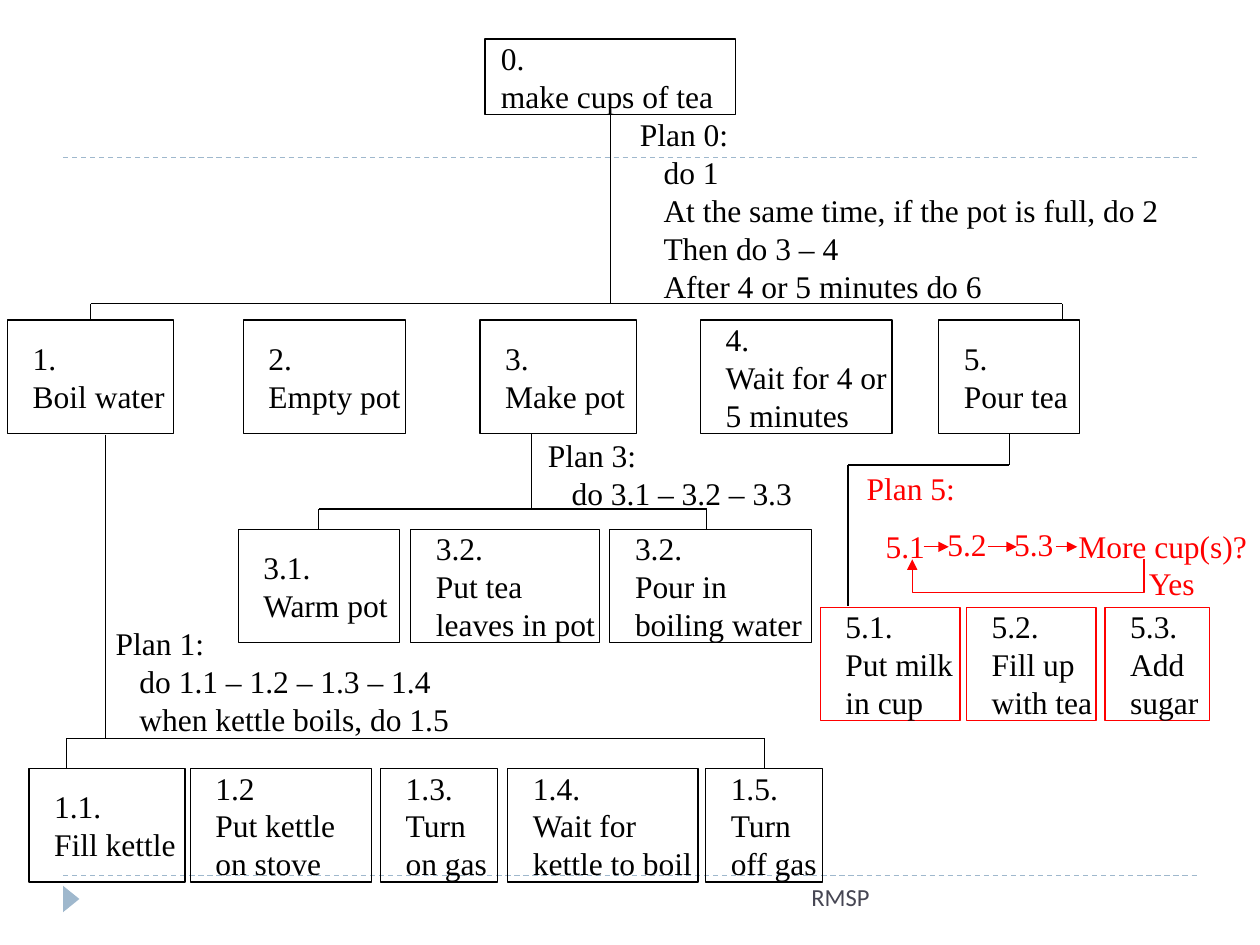
from collections import namedtuple

from lxml import etree
from pptx import Presentation
from pptx.dml.color import RGBColor
from pptx.enum.dml import MSO_LINE
from pptx.enum.shapes import MSO_CONNECTOR, MSO_SHAPE
from pptx.enum.text import MSO_ANCHOR, PP_ALIGN
from pptx.oxml.ns import qn
from pptx.util import Inches, Pt

BLACK, RED, BLUE, GREY = "000000", "FF0000", "9FB8CD", "464653"
COLUMNS, ROWS = 100, 75  # page grid

deck = Presentation()
deck.slide_width, deck.slide_height = Inches(10), Inches(7.5)
Box = namedtuple("Box", "left top width height")


def across(columns):
    return round(deck.slide_width * columns / COLUMNS)


def down(rows):
    return round(deck.slide_height * rows / ROWS)


def place(box):
    return across(box.left), down(box.top), across(box.width), down(box.height)


def colour(hex_text):
    return RGBColor.from_string(hex_text)


def style_line(line, tint, arrow_end=None):
    line.color.rgb = colour(tint)
    line.width = Pt(0.75)
    if arrow_end:
        outline = line._get_or_add_ln()
        etree.SubElement(outline, qn(f"a:{arrow_end}"), type="triangle")


def add_line(page, start, end, tint=BLACK, arrow_end=None, parent=None, child=None):
    line = page.shapes.add_connector(
        MSO_CONNECTOR.STRAIGHT, across(start[0]), down(start[1]), across(end[0]), down(end[1]))
    if parent is not None:
        line.begin_connect(parent, 2)
    if child is not None:
        line.end_connect(child, 0)
    style_line(line.line, tint, arrow_end)
    etree.SubElement(line._element.spPr, qn("a:effectLst"))
    return line


def write(para, text, tint=BLACK, size=18, font="Times New Roman", indent=0):
    if indent:
        properties = para._p.get_or_add_pPr()
        properties.set("marL", str(across(indent)))
        properties.set("indent", "0")
    span = para.add_run()
    span.text = text
    span.font.size, span.font.name = Pt(size), font
    span.font.color.rgb = colour(tint)


def add_text(page, box, lines, tint=BLACK, wrap=True, **style):
    """A text box: a heading line, then indented lines."""
    frame = page.shapes.add_textbox(*place(box)).text_frame
    frame.word_wrap = wrap
    for index, text in enumerate(lines):
        para = frame.add_paragraph() if index else frame.paragraphs[0]
        write(para, text, tint, indent=1.88 if index else 0, **style)
        if len(lines) > 1:
            para.line_spacing = 0.8
        if index:
            para.space_before = Pt(4.5)
    return frame


def add_task(page, box, number, label, tint=BLACK, inset=2):
    task = page.shapes.add_shape(MSO_SHAPE.RECTANGLE, *place(box))
    task.shadow.inherit = False
    task.fill.background()
    style_line(task.line, tint)
    frame = task.text_frame
    frame.word_wrap = True
    frame.vertical_anchor = MSO_ANCHOR.MIDDLE
    frame.margin_left, frame.margin_right = across(inset), 0
    frame.margin_top = frame.margin_bottom = down(0.5)
    for para, text in zip((frame.paragraphs[0], frame.add_paragraph()), (number, label)):
        para.alignment = PP_ALIGN.LEFT
        write(para, text)
    return task


def add_row(page, box, tasks, tint=BLACK):
    """A level of tasks, each given as offset, width, number and label."""
    return [add_task(page, Box(box.left + offset, box.top, width, box.height), number, label, tint)
            for offset, width, number, label in tasks]


def add_branch(page, box, trunk, drops, parent=None):
    """A rail along the box top, a trunk from above and drops to the box bottom."""
    offset, height = trunk
    middle = box.left + offset
    add_line(page, (middle, box.top - height), (middle, box.top), parent=parent)
    add_line(page, (box.left, box.top), (box.left + box.width, box.top))
    for drop, child in drops:
        x = box.left + drop
        add_line(page, (x, box.top), (x, box.top + box.height), child=child)


def add_serving_loop(page, box):
    """The steps of plan 5 with arrows between them and the way back."""
    left, top = box.left, box.top
    points = [(left + x, top + y) for x, y in ((3.1, 3.2), (3.1, 5.8), (21.5, 5.8), (21.5, 3.2))]
    corners = [(across(x), down(y)) for x, y in points]
    builder = page.shapes.build_freeform(*corners[0])
    builder.add_line_segments(corners[1:], close=False)
    loop = builder.convert_to_shape()
    loop.shadow.inherit = False
    loop.fill.background()
    style_line(loop.line, RED, "headEnd")
    steps = [(0, 0.1, 5.1, "5.1"), (4.9, 0, 5.1, "5.2"), (10.2, 0, 5.1, "5.3"),
             (15.3, 0.1, 15.4, "More cup(s)?"), (20.9, 3.1, 6.4, "Yes")]
    for x, y, width, text in steps:
        add_text(page, Box(left + x, top + y, width, 4), [text], RED, wrap=False)
    for start, end in ((4, 6), (9.1, 11.4), (14.5, 16.2)):
        add_line(page, (left + start, top + 2.2), (left + end, top + 2.2), RED, "tailEnd")


def add_frame(page, box):
    """Dashed rules, corner marker and footer."""
    for y in (box.top, box.top + box.height):
        rule = add_line(page, (box.left, y), (box.left + box.width, y), BLUE)
        rule.line.dash_style = MSO_LINE.DASH
    bottom = box.top + box.height
    marker = page.shapes.add_shape(
        MSO_SHAPE.ISOSCELES_TRIANGLE, *place(Box(box.left - 0.4, bottom + 1.2, 2.1, 1.3)))
    marker.rotation = 90
    marker.shadow.inherit = False
    marker.fill.solid()
    marker.fill.fore_color.rgb = colour(BLUE)
    marker.line.fill.background()
    footer = add_text(page, Box(box.left + 26.7, bottom, 38.3, 4), ["RMSP"],
                      GREY, size=14, font="Calibri")
    footer.paragraphs[0].alignment = PP_ALIGN.RIGHT


def build_page():
    page = deck.slides.add_slide(deck.slide_layouts[6])
    add_frame(page, Box(5, 12.5, 90, 57))

    # Tasks, level by level
    root = add_task(page, Box(38.5, 3.1, 19.9, 6), "0.", "make cups of tea", inset=1.25)
    main = add_row(page, Box(0.6, 25.4, 85.1, 9), [
        (0, 13.2, "1.", "Boil water"), (18.7, 12.9, "2.", "Empty pot"),
        (37.5, 12.4, "3.", "Make pot"), (55, 15.2, "4.", "Wait for 4 or 5 minutes"),
        (73.9, 11.2, "5.", "Pour tea")])
    pot = add_row(page, Box(18.9, 42, 45.5, 9), [
        (0, 12.8, "3.1.", "Warm pot"), (13.7, 15, "3.2.", "Put tea leaves in pot"),
        (29.5, 16, "3.2.", "Pour in boiling water")])
    add_row(page, Box(65.1, 48.2, 30.9, 9), [
        (0, 11.1, "5.1.", "Put milk in cup"), (11.6, 10.3, "5.2.", "Fill up with tea"),
        (22.6, 8.3, "5.3.", "Add sugar")], RED)
    kettle = add_row(page, Box(2.3, 61, 63, 9), [
        (0, 12.4, "1.1.", "Fill kettle"), (12.8, 14.4, "1.2", "Put kettle on stove"),
        (27.9, 9.3, "1.3.", "Turn on gas"), (38, 15.1, "1.4.", "Wait for kettle to boil"),
        (53.7, 9.3, "1.5.", "Turn off gas")])

    # Branches between levels
    add_branch(page, Box(7.2, 24.1, 77.1, 1.3), (41.25, 15), [(0, main[0]), (77.1, None)], root)
    add_branch(page, Box(5.3, 58.6, 55.35, 2.4), (3.1, 24.1), [(0, None), (55.35, kettle[-1])])
    add_branch(page, Box(25.3, 40.4, 30.8, 1.6), (16.9, 6), [(0, pot[0]), (30.8, None)])
    add_branch(page, Box(67.3, 36.9, 12.8, 11.2), (12.8, 2.5), [(0, None)], main[-1])

    # Plans
    add_text(page, Box(49.8, 9.2, 47.6, 15.5), [
        "Plan 0:", "do 1", "At the same time, if the pot is full, do 2",
        "Then do 3 – 4", "After 4 or 5 minutes do 6"])
    add_text(page, Box(8.2, 49.6, 31.9, 9.5), [
        "Plan 1:", "do 1.1 – 1.2 – 1.3 – 1.4", "when kettle boils, do 1.5"])
    add_text(page, Box(42.5, 34.7, 22.3, 6.5), ["Plan 3:", "do 3.1 – 3.2 – 3.3"])
    add_text(page, Box(67.8, 36.7, 22.3, 6.5), ["Plan 5:"], RED)
    add_serving_loop(page, Box(69.3, 41.2, 30.7, 7.1))


if __name__ == "__main__":
    build_page()
    deck.save("out.pptx")
